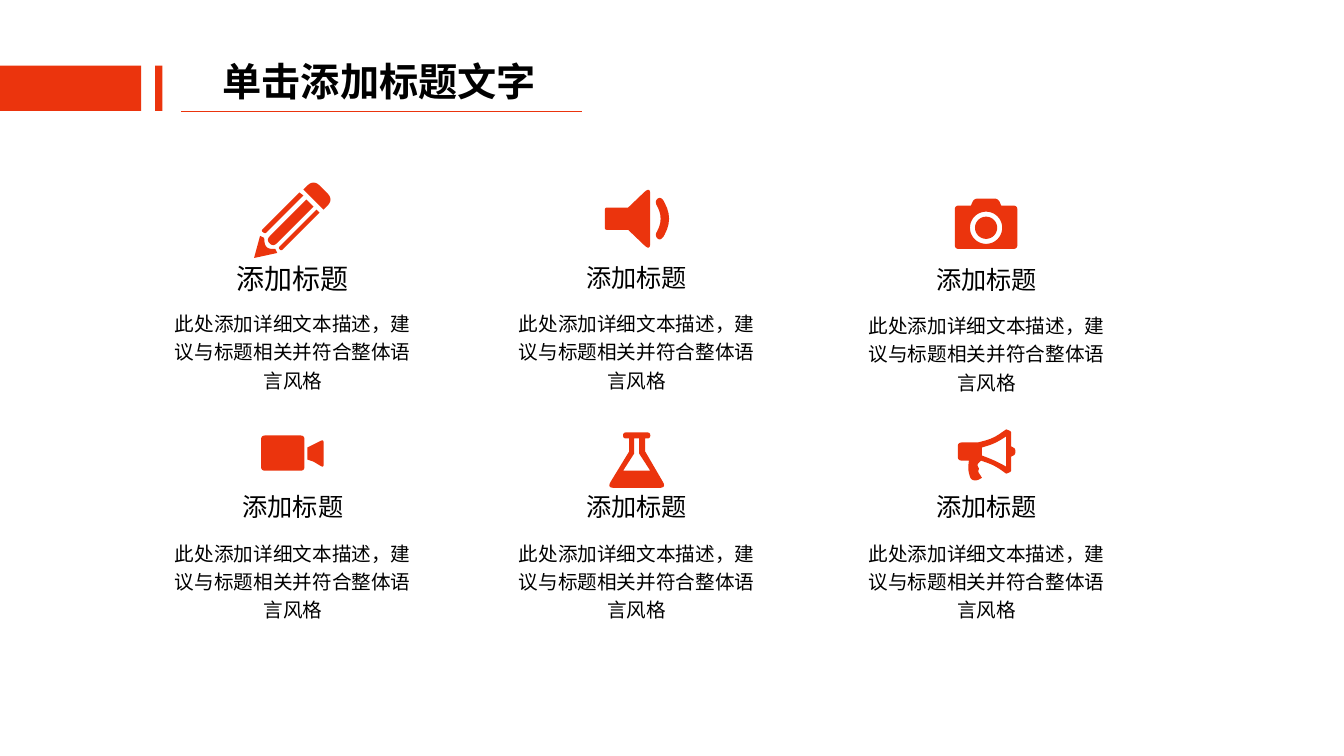
import math

from lxml import etree
from pptx import Presentation
from pptx import util as u
from pptx.dml.color import RGBColor
from pptx.enum import shapes, text
from pptx.oxml.ns import qn

RED = RGBColor(0xEB, 0x34, 0x0D)
BLACK = RGBColor(0, 0, 0)
PX = 9144  # EMU in one px, 100 px to the inch

HEADING = "单击添加标题文字"
CARD_TITLE = "添加标题"
CARD_BODY = "此处添加详细文本描述，建议与标题相关并符合整体语言风格"
COLUMNS = (158, 499, 846)
ROWS = (255, 483)
CARD_W = 265


def circle(cx, cy, radius, steps=40):
    angles = (2 * math.pi * i / steps for i in range(steps))
    return [(cx + radius * math.cos(a), cy + radius * math.sin(a)) for a in angles]


def box(left, top, right, bottom, radius):
    return [(left, top, radius), (right, top, radius),
            (right, bottom, radius), (left, bottom, radius)]


# Each icon is a list of contours; a vertex is (x, y) or (x, y, corner radius).
PENCIL = [
    [(321, 208), (301, 188), (311, 178, 9), (331, 198, 9)],
    [(276, 246, 2), (314, 208), (317, 211), (279, 249, 2)],
    [(259, 229, 2), (297, 191), (301, 194), (263, 232, 2)],
    [(264, 238, 5), (304, 198), (311, 205), (271, 245, 5)],
    [(275, 251), (273, 247), (263, 247, 7), (262, 236), (258, 234), (252, 256)],
]
SPEAKER = [
    [(600, 206, 2), (623, 206), (645, 185, 8), (645, 249, 8), (623, 228), (600, 228, 2)],
    [(658, 199), (668, 217, 18), (658, 235), (654, 239, 4), (650, 234, 3), (651, 231),
     (659, 217, 15), (651, 203), (650, 199, 3), (655, 195, 4)],
]
CAMERA = [
    [(947, 204, 4), (963, 204), (966, 197, 4), (990, 197, 4), (993, 204),
     (1009, 204, 4), (1009, 247, 4), (947, 247, 4)],
    circle(978, 226, 16),
    circle(978, 226, 11),
]
VIDEO_BODY = [box(259, 432, 302, 467, 4)]
VIDEO_LENS = [[(305, 444), (311, 441), (321, 436, 3), (321, 464, 3), (311, 458), (305, 456)]]
FLASK = [
    [(624, 448), (624, 435), (618, 435, 3), (618, 429, 3), (645, 429, 3), (645, 435, 3),
     (640, 435), (640, 448), (661, 484, 7), (602, 484, 7)],
    [(618, 467), (645, 467), (634, 450), (634, 435), (629, 435), (629, 450)],
]
MEGAPHONE = [
    [(950, 439, 4), (970, 439), (985, 435, 8), (998, 426), (1003, 428, 2), (1003, 443),
     (1007, 445, 2), (1007, 451, 2), (1003, 453), (1003, 468, 2), (998, 470), (987, 462, 8),
     (973, 457), (969, 461, 2), (971, 465), (970, 468, 2), (974, 474), (969, 477, 3),
     (963, 476, 3), (960, 466, 5), (961, 457), (950, 457, 4)],
    [(998, 433), (987, 440, 8), (974, 444), (974, 452), (987, 457, 8), (998, 463)],
]
ICONS = (PENCIL, SPEAKER, CAMERA, VIDEO_BODY, VIDEO_LENS, FLASK, MEGAPHONE)


def toward(a, b, distance):
    """Return the point at a distance from a on the way to b."""
    t = distance / math.dist(a, b)
    return a[0] + t * (b[0] - a[0]), a[1] + t * (b[1] - a[1])


def outline(contour, steps=6):
    """Replace every vertex that has a radius by a short quadratic curve."""
    points = []
    for i, (x, y, *radius) in enumerate(contour):
        if not radius:
            points.append((x, y))
            continue
        before = contour[i - 1][:2]
        after = contour[(i + 1) % len(contour)][:2]
        start = toward((x, y), before, radius[0])
        end = toward((x, y), after, radius[0])
        for t in (k / steps for k in range(steps + 1)):
            points.append(tuple((1 - t) ** 2 * a + 2 * t * (1 - t) * b + t * t * c
                                for a, b, c in zip(start, (x, y), end)))
    return [(x * PX, y * PX) for x, y in points]


class Deck:
    font = "Noto Sans CJK SC"

    def __init__(self, width, height):
        self.prs = Presentation()
        self.prs.slide_width, self.prs.slide_height = width * PX, height * PX
        self.s = self.prs.slides.add_slide(self.prs.slide_layouts[6])

    def paint(self, sp):
        sp.shadow.inherit = False
        sp.fill.solid()
        sp.fill.fore_color.rgb = RED
        sp.line.fill.background()

    def rect(self, *place):
        self.paint(self.s.shapes.add_shape(
            shapes.MSO_SHAPE.RECTANGLE, *(v * PX for v in place)))

    def line(self, *ends):
        sp = self.s.shapes.add_connector(
            shapes.MSO_CONNECTOR.STRAIGHT, *(v * PX for v in ends))
        sp.line.color.rgb = RED
        sp.line.width = u.Pt(0.5)
        etree.SubElement(sp._element.spPr, qn("a:effectLst"))

    def icon(self, contours):
        first, *others = map(outline, contours)
        builder = self.s.shapes.build_freeform(*first[0])
        builder.add_line_segments(first[1:])
        for points in others:
            builder.move_to(*points[0])
            builder.add_line_segments(points[1:])
        self.paint(builder.convert_to_shape())

    def text(self, content, place, size, leading=1.2, wrap=True, grow=True,
             align=text.PP_ALIGN.CENTER, bold=False):
        tf = self.s.shapes.add_textbox(*(v * PX for v in place)).text_frame
        tf.word_wrap = wrap
        fit = text.MSO_AUTO_SIZE
        tf.auto_size = fit.SHAPE_TO_FIT_TEXT if grow else fit.NONE
        p = tf.paragraphs[0]
        p.alignment = align
        p.line_spacing = u.Pt(size * leading)
        r = p.add_run()
        r.text = content
        style = {"name": self.font, "size": u.Pt(size), "bold": bold}
        for key, value in style.items():
            setattr(r.font, key, value)
        r.font.color.rgb = BLACK
        etree.SubElement(r.font._element, qn("a:ea"), typeface=self.font)

    def card(self, left, top, size):
        self.text(CARD_TITLE, (left, top, CARD_W, 2 * size + 4), size)
        self.text(CARD_BODY, (left, top + 45, CARD_W, 86), 14, leading=1.44, grow=False)


def main():
    deck = Deck(1333, 750)
    deck.rect(154, 65, 7, 45)
    deck.rect(0, 65, 140, 45)
    deck.text(HEADING, (211, 52, 334, 57), 28, wrap=False,
              align=text.PP_ALIGN.LEFT, bold=True)
    deck.line(180, 110, 577, 110)
    for row, top in enumerate(ROWS):
        for col, left in enumerate(COLUMNS):
            lowered = 2 if (row, col) == (0, 2) else 0
            size = 20 if (row, col) == (0, 0) else 18
            deck.card(left, top + lowered, size)
    for contours in ICONS:
        deck.icon(contours)
    deck.prs.save("out.pptx")


if __name__ == "__main__":
    main()
